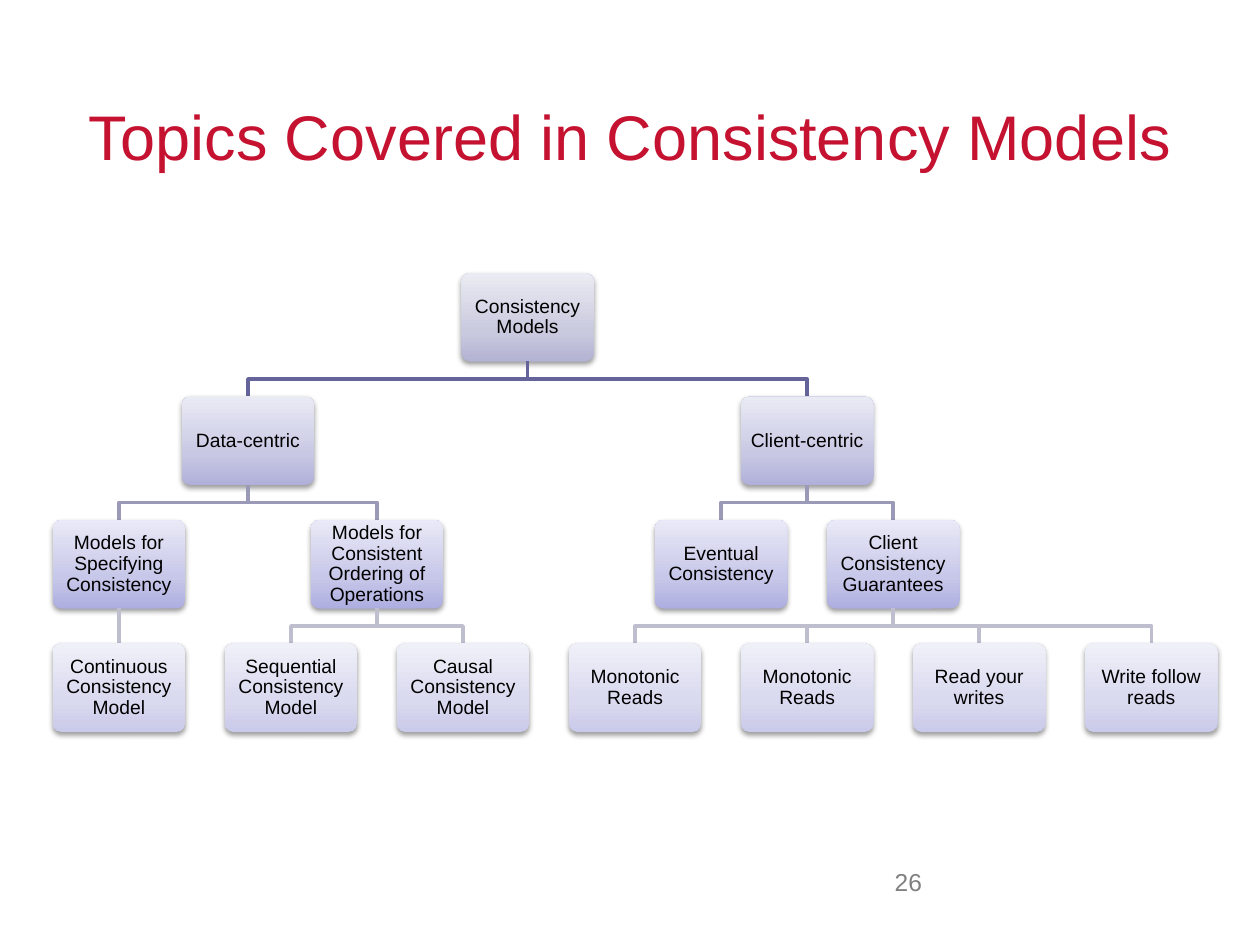
from copy import deepcopy

from lxml import etree
from pptx import Presentation
from pptx.dml.color import RGBColor
from pptx.enum.shapes import MSO_CONNECTOR, MSO_SHAPE
from pptx.enum.text import MSO_ANCHOR, PP_ALIGN
from pptx.oxml.ns import qn
from pptx.util import Pt

THEME = {
    "font": "Arial",
    "title": (36, "C41230"),
    "node": (11, "000000"),
    "number": (14, "808080"),
    # One entry per tree level: gradient from bottom to top
    "fills": [
        ("B3B3D3", "CACADF", "EBEBF3"),
        ("B0B0DA", "C8C8E4", "EAEAF5"),
        ("AEAEE1", "C7C7E9", "E9E9F7"),
        ("CACAEA", "D9D9EF", "F0F0F9"),
    ],
    "stops": (0, 0.35, 1),
    # Links leading down to levels 1, 2 and 3
    "links": {1: "64649B", 2: "9A9AB8", 3: "BEBECF"},
    "shadow": "000000",
}

# Depth-first tree: label, level, column
NODES = [
    ("Consistency Models", 0, 2.375),
    ("Data-centric", 1, 0.75),
    ("Models for Specifying Consistency", 2, 0),
    ("Continuous Consistency Model", 3, 0),
    ("Models for Consistent Ordering of Operations", 2, 1.5),
    ("Sequential Consistency Model", 3, 1),
    ("Causal Consistency Model", 3, 2),
    ("Client-centric", 1, 4),
    ("Eventual Consistency", 2, 3.5),
    ("Client Consistency Guarantees", 2, 4.5),
    ("Monotonic Reads", 3, 3),
    ("Monotonic Reads", 3, 4),
    ("Read your writes", 3, 5),
    ("Write follow reads", 3, 6),
]
FIRST_X, COLUMN_STEP = 68, 98.32
FIRST_Y, ROW_STEP = 156, 70.56
BOX_W, BOX_H = 75.8, 50.6


def write(tf, text, style, align):
    size, color = THEME[style]
    tf.word_wrap = True
    p = tf.paragraphs[0]
    p.alignment = align
    r = p.add_run()
    r.text = text
    r.font.name = THEME["font"]
    r.font.size = Pt(size)
    r.font.color.rgb = RGBColor.from_string(color)
    return p


def style_box(s, colors):
    s.adjustments[0] = 0.1
    s.line.fill.background()
    s.fill.gradient()
    s.fill.gradient_angle = 90
    stops = s._element.spPr.find(".//" + qn("a:gsLst"))
    stops.insert(1, deepcopy(stops[0]))
    for stop, position, color in zip(s.fill.gradient_stops, THEME["stops"], colors):
        stop.position = position
        stop.color.rgb = RGBColor.from_string(color)
    # Soft shadow straight below
    s.shadow.inherit = False
    effects = s._element.spPr.find(qn("a:effectLst"))
    shadow = etree.SubElement(effects, qn("a:outerShdw"), blurRad=str(Pt(3.1)),
                              dist=str(Pt(1.6)), dir="5400000", rotWithShape="0")
    color = etree.SubElement(shadow, qn("a:srgbClr"), val=THEME["shadow"])
    etree.SubElement(color, qn("a:alpha"), val="38000")


prs = Presentation()
prs.slide_width, prs.slide_height = Pt(720), Pt(540)
slide = prs.slides.add_slide(prs.slide_layouts[5])

# Title
title = slide.shapes.title
title.left, title.top, title.width, title.height = Pt(12), Pt(21.6), Pt(696), Pt(111.6)
title.text_frame.vertical_anchor = MSO_ANCHOR.MIDDLE
write(title.text_frame, "Topics Covered in Consistency Models", "title", PP_ALIGN.CENTER)

# Slide number
number = slide.shapes.add_textbox(Pt(468), Pt(491.8), Pt(66), Pt(37.4))
write(number.text_frame, "26", "number", PP_ALIGN.RIGHT)

# Tree: each node hangs from the latest node one level up
latest_x = {}
for label, level, column in NODES:
    x = FIRST_X + column * COLUMN_STEP
    y = FIRST_Y + level * ROW_STEP
    latest_x[level] = x

    # Link from the parent
    if level:
        parent_x = latest_x[level - 1]
        start_y = y - ROW_STEP + BOX_H
        middle_y = (start_y + y) / 2
        if parent_x == x:
            link = slide.shapes.add_connector(
                MSO_CONNECTOR.STRAIGHT, Pt(x), Pt(start_y), Pt(x), Pt(y))
            etree.SubElement(link._element.spPr, qn("a:effectLst"))
        else:
            outline = slide.shapes.build_freeform(Pt(parent_x), Pt(start_y))
            outline.add_line_segments(
                [(Pt(parent_x), Pt(middle_y)), (Pt(x), Pt(middle_y)), (Pt(x), Pt(y))],
                close=False)
            link = outline.convert_to_shape()
            link.fill.background()
            link.shadow.inherit = False
        link.line.color.rgb = RGBColor.from_string(THEME["links"][level])
        link.line.width = Pt(2)

    # Box with its label
    box = slide.shapes.add_shape(MSO_SHAPE.ROUNDED_RECTANGLE, Pt(x - BOX_W / 2), Pt(y),
                                 Pt(BOX_W), Pt(BOX_H))
    style_box(box, THEME["fills"][level])
    tf = box.text_frame
    tf.margin_left = tf.margin_right = tf.margin_top = tf.margin_bottom = Pt(3.6)
    tf.vertical_anchor = MSO_ANCHOR.MIDDLE
    write(tf, label, "node", PP_ALIGN.CENTER).line_spacing = 0.9

prs.save("out.pptx")
